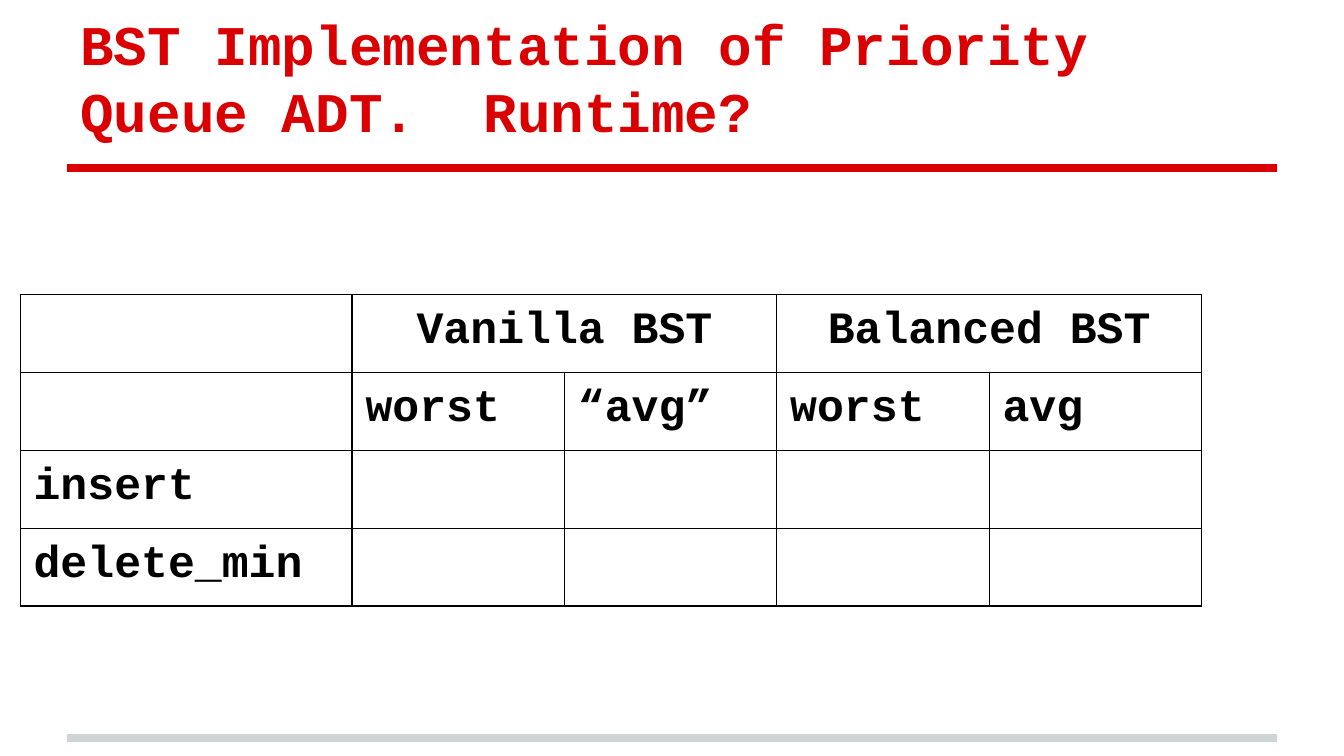
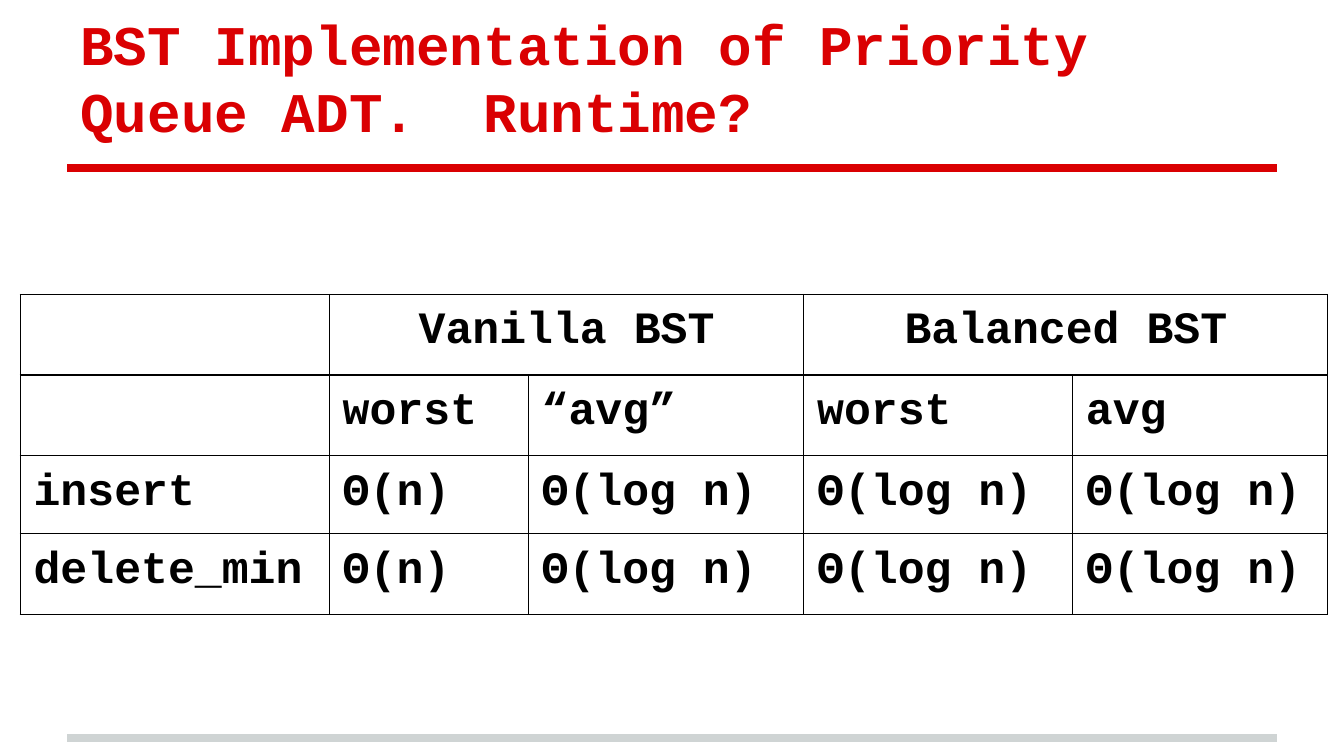
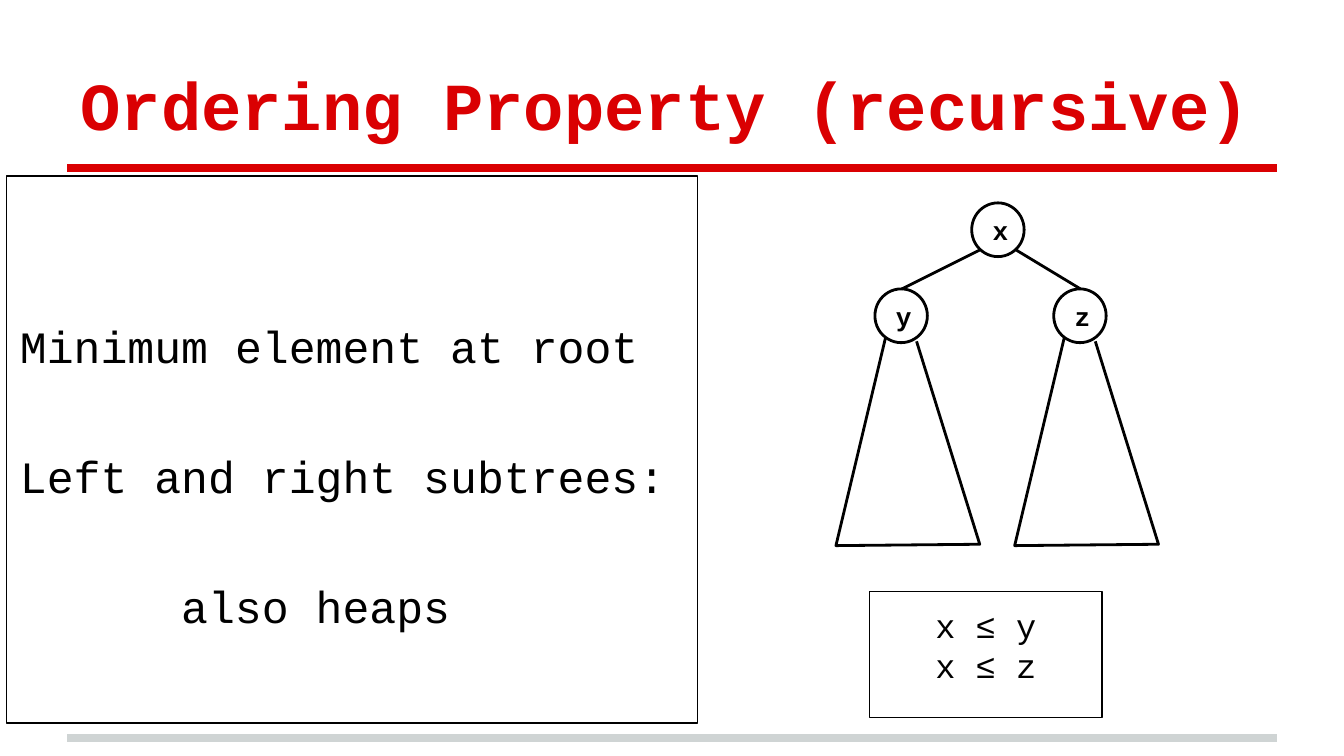
from lxml.etree import SubElement
from pptx import Presentation
from pptx.dml.color import RGBColor
from pptx.enum.shapes import MSO_CONNECTOR, MSO_SHAPE
from pptx.enum.text import MSO_ANCHOR, PP_ALIGN
from pptx.oxml import parse_xml
from pptx.oxml.ns import nsdecls, qn
from pptx.util import Pt

PX = 9144  # EMU per px, 100 px to the inch
INSET = 10
CELL_INSET = 9  # above and below the text of a cell
FONT = "Courier New"
RED = RGBColor(0xDA, 0x00, 0x02)
GREY = RGBColor(0xCF, 0xD4, 0xD4)
BLACK = RGBColor(0x00, 0x00, 0x00)

RUNTIME_TITLE = "BST Implementation of Priority Queue ADT.  Runtime?"
GROUPS = ["Vanilla BST", "Balanced BST"]
CASES = ["worst", "“avg”", "worst", "avg"]
OPERATIONS = ["insert", "delete_min"]
RUNTIMES = ["Θ(n)", "Θ(log n)", "Θ(log n)", "Θ(log n)"]


def emu(*lengths):
    return [length * PX for length in lengths]


# Shared text and line helpers
def add_span(para, text, size, color=BLACK, bold=False):
    span = para.add_run()
    span.text = text
    span.font.name = FONT
    span.font.size = Pt(size)
    span.font.bold = bold
    span.font.color.rgb = color


def set_frame(frame, anchor=MSO_ANCHOR.TOP, top=INSET):
    frame.word_wrap = True
    frame.vertical_anchor = anchor
    frame.margin_left = frame.margin_right = frame.margin_bottom = INSET * PX
    frame.margin_top = top * PX


def add_lines(frame, lines, size, align=PP_ALIGN.LEFT, gap=0, **style):
    for number, line in enumerate(lines):
        para = frame.add_paragraph() if number else frame.paragraphs[0]
        para.alignment = align
        if number and gap:
            para.space_before = Pt(gap)
        add_span(para, line, size, **style)


def set_outline(shape, width):
    shape.shadow.inherit = False
    shape.fill.background()
    shape.line.color.rgb = BLACK
    shape.line.width = Pt(width)


def add_outlined(page, preset, box, width):
    shape = page.shapes.add_shape(preset, *emu(*box))
    set_outline(shape, width)
    return shape


def add_line(page, start, end, color=BLACK, width=1.5):
    line = page.shapes.add_connector(MSO_CONNECTOR.STRAIGHT, *emu(*start, *end))
    line.line.color.rgb = color
    line.line.width = Pt(width)
    SubElement(line.element.spPr, qn("a:effectLst"))


# Page with its two bands and title
def add_page(deck, title, title_size):
    page = deck.slides.add_slide(deck.slide_layouts[6])
    for y, color in ((549, GREY), (125, RED)):
        add_line(page, (50, y), (950, y), color, 4)
    box = page.shapes.add_textbox(*emu(50, 23, 900, 94))
    set_frame(box.text_frame, MSO_ANCHOR.BOTTOM)
    add_lines(box.text_frame, [title], title_size, color=RED, bold=True)
    return page


# Runtime table
def set_cell_border(cell):
    cell.fill.background()
    properties = cell._tc.get_or_add_tcPr()
    for place, side in enumerate(("lnL", "lnR", "lnT", "lnB")):
        properties.insert(place, parse_xml(
            f'<a:{side} {nsdecls("a")} w="{Pt(0.75)}"><a:solidFill>'
            f'<a:srgbClr val="{BLACK}"/></a:solidFill></a:{side}>'))


def fill_cell(cell, text, align=PP_ALIGN.LEFT):
    para = cell.text_frame.paragraphs[0]
    para.alignment = align
    add_span(para, text, 24, bold=True)


def add_runtime_table(page, left, top, widths, heights, runtimes):
    size = emu(left, top, sum(widths), sum(heights))
    table = page.shapes.add_table(len(heights), len(widths), *size).table
    table.first_row = table.horz_banding = False
    for column, width in zip(table.columns, widths):
        column.width = width * PX
    for row, height in zip(table.rows, heights):
        row.height = height * PX
        for cell in row.cells:
            cell.margin_left = cell.margin_right = INSET * PX
            cell.margin_top = cell.margin_bottom = CELL_INSET * PX
            set_cell_border(cell)

    for number, group in enumerate(GROUPS):
        first = 1 + 2 * number
        table.cell(0, first).merge(table.cell(0, first + 1))
        fill_cell(table.cell(0, first), group, PP_ALIGN.CENTER)
    for column, case in enumerate(CASES, 1):
        fill_cell(table.cell(1, column), case)
    for row, operation in enumerate(OPERATIONS, 2):
        for column, text in enumerate([operation, *runtimes]):
            fill_cell(table.cell(row, column), text)


def add_runtime_page(deck, widths, heights, runtimes=()):
    page = add_page(deck, RUNTIME_TITLE, 30)
    add_runtime_table(page, 15, 219, widths, heights, runtimes)


# Heap drawing
def add_node(page, left, top, label):
    node = add_outlined(page, MSO_SHAPE.OVAL, (left, top, 39, 40), 1.5)
    set_frame(node.text_frame, MSO_ANCHOR.MIDDLE)
    add_lines(node.text_frame, [label], 14, bold=True)


def add_subtree(page, left, top):
    corners = [(8, 36), (-29, 191), (78, 190), (31, 39)]
    points = [(left + x, top + y) for x, y in corners]
    builder = page.shapes.build_freeform(*points[0], scale=PX)
    builder.add_line_segments(points[1:], close=False)
    set_outline(builder.convert_to_shape(), 1.5)


def add_heap(page, left, top):
    root = left + 101
    add_node(page, root, top, "x")
    for label, offset, edge_start in (("y", 29, 6), ("z", 162, 33)):
        child, child_top = left + offset, top + 64
        add_node(page, child, child_top, label)
        add_subtree(page, child, child_top)
        add_line(page, (root + edge_start, top + 35), (child + 20, child_top))


# Text panels of the ordering page
def add_property_panel(page, box):
    frame = add_outlined(page, MSO_SHAPE.RECTANGLE, box, 0.75).text_frame
    set_frame(frame, top=106)
    lines = ["Minimum element at root", "Left and right subtrees:", "also heaps"]
    add_lines(frame, lines, 24, gap=41)
    frame.paragraphs[-1]._p.get_or_add_pPr().set("marL", str(120 * PX))


def add_rule_panel(page, box):
    frame = add_outlined(page, MSO_SHAPE.RECTANGLE, box, 0.75).text_frame
    set_frame(frame)
    add_lines(frame, ["x ≤ y", "x ≤ z"], 18, PP_ALIGN.CENTER)


def add_ordering_page(deck):
    page = add_page(deck, "Ordering Property (recursive)", 36)
    add_property_panel(page, (5, 131, 514, 407))
    add_heap(page, 622, 151)
    add_rule_panel(page, (647, 440, 173, 94))


def main():
    deck = Presentation()
    deck.slide_width = 1000 * PX
    deck.slide_height = deck.slide_width * 9 // 16
    add_runtime_page(deck, [247] + [158] * 4, [42] * 4)
    add_runtime_page(deck, [230, 148, 205, 200, 190], [60, 60, 42, 60], RUNTIMES)
    add_ordering_page(deck)
    deck.save("out.pptx")


if __name__ == "__main__":
    main()
